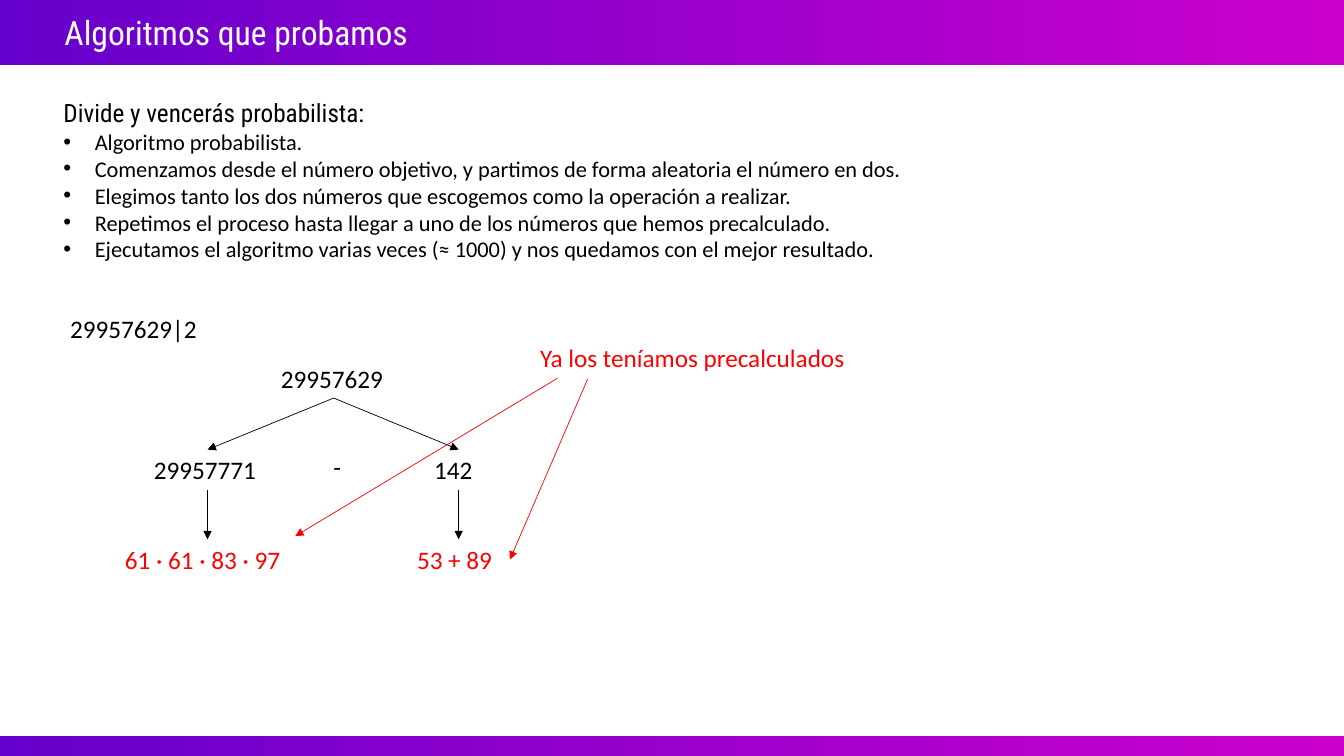
from lxml.etree import SubElement
from pptx import Presentation
from pptx.dml.color import RGBColor
from pptx.enum.shapes import MSO_CONNECTOR, MSO_SHAPE
from pptx.enum.text import MSO_ANCHOR, MSO_AUTO_SIZE, PP_ALIGN
from pptx.oxml.ns import qn
from pptx.util import Cm, Pt

WIDTH, HEIGHT = 33.87, 19.05
BLACK, WHITE, RED = "000000", "FFFFFF", "FF0000"
PURPLE, MAGENTA = "6600CC", "CC00CC"
BODY_FONT, HEADING_FONT = "Calibri", "Roboto Condensed"


def color(value):
    return RGBColor.from_string(value)


def apply(target, values):
    for name, value in values.items():
        setattr(target, name, value)


class Slide:
    label_height = 1.02
    indent = 0.79
    frame_format = {
        "word_wrap": True,
        "auto_size": MSO_AUTO_SIZE.NONE,
        "vertical_anchor": MSO_ANCHOR.TOP,
    }

    def __init__(self, deck):
        self.page = deck.slides.add_slide(deck.slide_layouts[5])
        self.shapes = self.page.shapes

    def bar(self, top, height):
        box = self.shapes.add_shape(MSO_SHAPE.RECTANGLE, 0, Cm(top), Cm(WIDTH), Cm(height))
        box.shadow.inherit = False
        box.line.fill.background()
        box.fill.gradient()
        box.fill.gradient_angle = 0
        for stop, value in zip(box.fill.gradient_stops, (PURPLE, MAGENTA)):
            stop.color.rgb = color(value)

    def add_text(self, para, text, size, font, value):
        para.alignment = PP_ALIGN.LEFT
        span = para.add_run()
        span.text = text
        apply(span.font, {"size": Pt(size), "name": font})
        span.font.color.rgb = color(value)

    def title(self, text, left, top, width, height):
        box = self.shapes.title
        apply(box, {"left": Cm(left), "top": Cm(top), "width": Cm(width), "height": Cm(height)})
        apply(box.text_frame, self.frame_format)
        self.add_text(box.text_frame.paragraphs[0], text, 24, HEADING_FONT, WHITE)
        self.shapes.element.append(box.element)

    def text_box(self, left, top, width, height):
        box = self.shapes.add_textbox(Cm(left), Cm(top), Cm(width), Cm(height))
        apply(box.text_frame, self.frame_format)
        return box.text_frame

    def label(self, text, left, top, width, value=BLACK):
        frame = self.text_box(left, top, width, self.label_height)
        self.add_text(frame.paragraphs[0], text, 18, BODY_FONT, value)

    def bullets(self, heading, items, left, top, width, height):
        frame = self.text_box(left, top, width, height)
        self.add_text(frame.paragraphs[0], heading, 18, HEADING_FONT, BLACK)
        for item in items:
            para = frame.add_paragraph()
            self.add_text(para, item, 16, BODY_FONT, BLACK)
            properties = para._p.get_or_add_pPr()
            properties.set("marL", str(Cm(self.indent)))
            properties.set("indent", str(-Cm(self.indent)))
            SubElement(properties, qn("a:buFont"), typeface="Arial")
            SubElement(properties, qn("a:buChar"), char="•")

    def arrow(self, start, end, value=BLACK):
        points = [Cm(number) for number in (*start, *end)]
        connector = self.shapes.add_connector(MSO_CONNECTOR.STRAIGHT, *points)
        connector.line.width = Pt(0.5)
        connector.line.color.rgb = color(value)
        SubElement(connector.line._get_or_add_ln(), qn("a:tailEnd"), type="triangle")
        SubElement(connector.element.spPr, qn("a:effectLst"))


def main():
    deck = Presentation()
    apply(deck, {"slide_width": Cm(WIDTH), "slide_height": Cm(HEIGHT)})
    slide = Slide(deck)

    slide.bar(0, 1.63)
    slide.bar(18.54, 0.51)
    slide.title("Algoritmos que probamos", 1.37, 0.18, 11.4, 1.27)
    steps = [
        "Algoritmo probabilista.",
        "Comenzamos desde el número objetivo, y partimos de forma aleatoria el número en dos.",
        "Elegimos tanto los dos números que escogemos como la operación a realizar.",
        "Repetimos el proceso hasta llegar a uno de los números que hemos precalculado.",
        "Ejecutamos el algoritmo varias veces (≈ 1000) y nos quedamos con el mejor resultado.",
    ]
    slide.bullets("Divide y vencerás probabilista:", steps, 1.35, 2.34, 30.91, 5.13)

    split_top, leaf_top = 11.33, 13.59
    slide.label("29957629|2", 1.52, 7.77, 4.6)
    slide.label("29957629", 6.83, 9.02, 3.12)
    slide.label("29957771", 3.63, split_top, 3.23)
    slide.label("142", 10.69, split_top, 1.73)
    slide.label("61 · 61 · 83 · 97", 2.9, leaf_top, 4.7, RED)
    slide.label("53 + 89", 10.26, leaf_top, 2.57, RED)

    root = (8.41, 10.03)
    for center in (5.23, 11.56):
        slide.arrow((center, split_top + slide.label_height), (center, leaf_top))
        slide.arrow(root, (center, split_top))

    slide.label("-", 8.15, 11.25, 1.17)
    slide.label("Ya los teníamos precalculados", 13.36, 8.51, 8.89, RED)
    slide.arrow((14.05, 9.53), (7.44, 13.51), RED)
    slide.arrow((14.81, 9.55), (12.85, 14.1), RED)

    deck.save("out.pptx")


if __name__ == "__main__":
    main()
